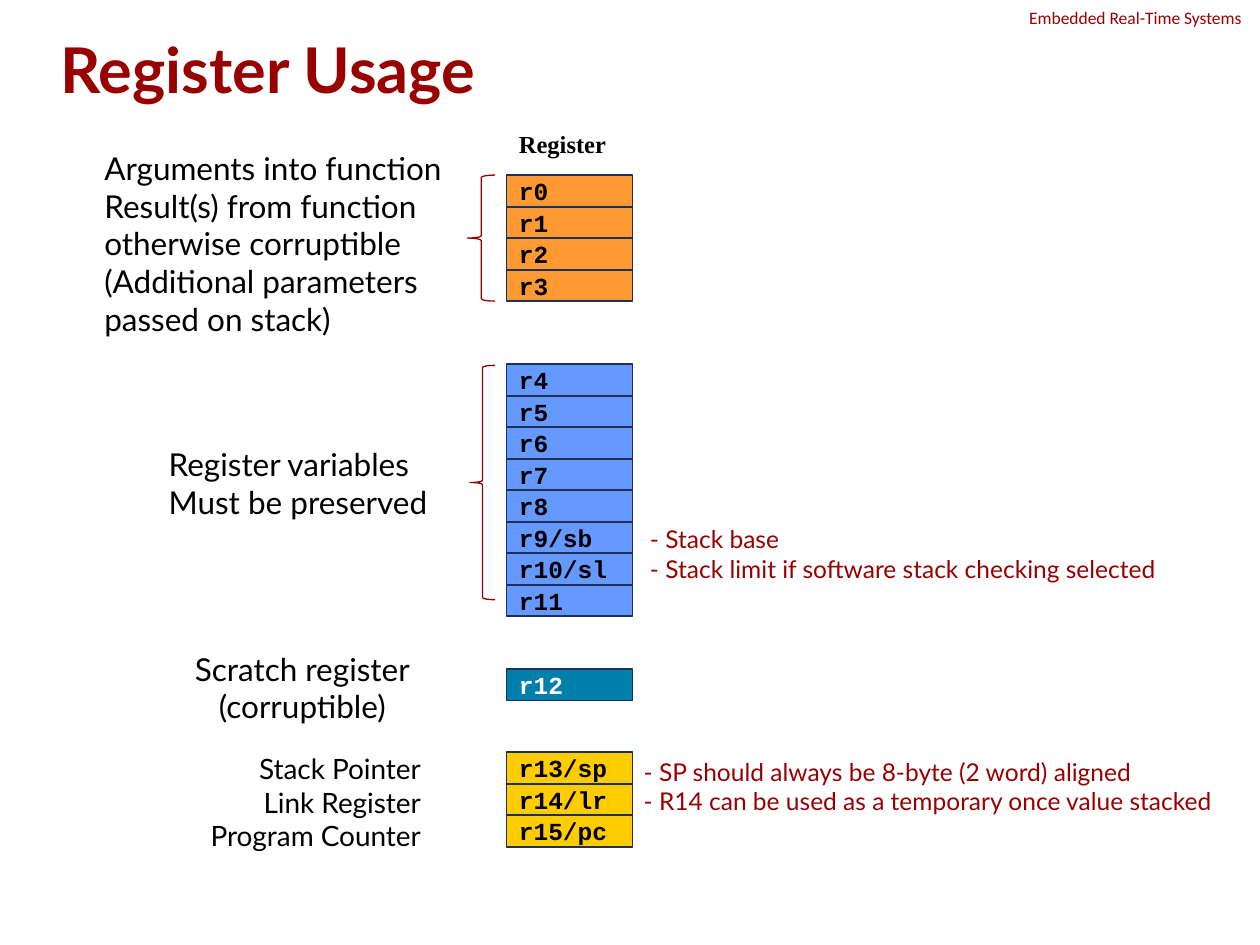
from pptx import Presentation
from pptx.dml.color import RGBColor
from pptx.enum.shapes import MSO_SHAPE
from pptx.enum.text import MSO_ANCHOR, MSO_AUTO_SIZE, PP_ALIGN
from pptx.util import Emu, Pt

EMU_PER_PX = 9144  # 100 px to the inch
LEFT, CENTER, RIGHT = PP_ALIGN.LEFT, PP_ALIGN.CENTER, PP_ALIGN.RIGHT
MIDDLE, TOP = MSO_ANCHOR.MIDDLE, MSO_ANCHOR.TOP
NO_AUTOFIT = MSO_AUTO_SIZE.NONE
RECTANGLE, LEFT_BRACE = MSO_SHAPE.RECTANGLE, MSO_SHAPE.LEFT_BRACE
TITLE_ONLY = 5

BLACK = RGBColor(0x00, 0x00, 0x00)
WHITE = RGBColor(0xFF, 0xFF, 0xFF)
DARK_RED = RGBColor(0x99, 0x00, 0x00)
BRACE_RED = RGBColor(0x96, 0x00, 0x00)
NAVY = RGBColor(0x1D, 0x31, 0x5B)
ORANGE = RGBColor(0xFF, 0x99, 0x33)
BLUE = RGBColor(0x66, 0x99, 0xFF)
TEAL = RGBColor(0x00, 0x7F, 0xAC)
YELLOW = RGBColor(0xFF, 0xCC, 0x00)

REGISTER_LEFT, REGISTER_WIDTH, REGISTER_HEIGHT = 402, 100, 25


def px(*lengths):
    return [Emu(length * EMU_PER_PX) for length in lengths]


class RegisterPage:
    body_font = "Lato"
    code_font = "Courier New"

    def __init__(self, deck):
        self.page = deck.slides.add_slide(deck.slide_layouts[TITLE_ONLY])

    def add_lines(self, box, lines, size, color=BLACK, font=body_font,
                  bold=False, align=LEFT, anchor=MIDDLE):
        frame = box.text_frame
        frame.word_wrap = True
        frame.auto_size = NO_AUTOFIT
        frame.vertical_anchor = anchor
        for index, line in enumerate(lines):
            para = frame.add_paragraph() if index else frame.paragraphs[0]
            para.alignment = align
            span = para.add_run()
            span.text = line
            span.font.name = font
            span.font.size = Pt(size)
            span.font.bold = bold
            span.font.color.rgb = color

    def title(self, text, place):
        box = self.page.shapes.title
        box.left, box.top, box.width, box.height = px(*place)
        self.add_lines(box, [text], 36, DARK_RED, bold=True)

    def text(self, lines, place, size, **style):
        box = self.page.shapes.add_textbox(*px(*place))
        self.add_lines(box, lines, size, **style)

    def shape(self, kind, place, line_color, line_width):
        box = self.page.shapes.add_shape(kind, *px(*place))
        box.shadow.inherit = False
        box.line.color.rgb = line_color
        box.line.width = Pt(line_width)
        return box

    def registers(self, names, top, fill, color=BLACK):
        for row, name in enumerate(names):
            place = (REGISTER_LEFT, top + row * REGISTER_HEIGHT,
                     REGISTER_WIDTH, REGISTER_HEIGHT)
            box = self.shape(RECTANGLE, place, NAVY, 1)
            box.fill.solid()
            box.fill.fore_color.rgb = fill
            self.add_lines(box, [name], 14, color, self.code_font, bold=True)

    def brace(self, place):
        self.shape(LEFT_BRACE, place, BRACE_RED, 0.75).fill.background()


def main():
    deck = Presentation()
    deck.slide_width, deck.slide_height = px(1000, 750)
    usage = RegisterPage(deck)

    # Heading
    usage.text(["Embedded Real-Time Systems"], (807, 1, 227, 27), 10,
               color=DARK_RED, font="Calibri", anchor=TOP)
    usage.title("Register Usage", (38, 28, 900, 53))

    # Register column
    usage.text(["Register"], (402, 97, 100, 34), 14,
               font="Times New Roman", bold=True)
    usage.registers([f"r{n}" for n in range(4)], 139, ORANGE)
    usage.registers(["r4", "r5", "r6", "r7", "r8", "r9/sb", "r10/sl", "r11"],
                    289, BLUE)
    usage.registers(["r12"], 531, TEAL, WHITE)
    usage.registers(["r13/sp", "r14/lr", "r15/pc"], 597, YELLOW)

    # Roles on the left
    usage.text(["Arguments into function", "Result(s) from function",
                "otherwise corruptible", "(Additional parameters",
                "passed on stack)"], (73, 112, 293, 162), 18)
    usage.text(["Register variables", "Must be preserved"],
               (124, 348, 233, 71), 18)
    usage.text(["Scratch register", "(corruptible)"],
               (136, 510, 208, 71), 18, align=CENTER)
    usage.text(["Stack Pointer", "Link Register", "Program Counter"],
               (136, 591, 208, 91), 16, align=RIGHT)

    # Notes on the right
    notes = [
        ("- Stack base", 506, 415),
        ("- Stack limit if software stack checking selected", 506, 439),
        ("- SP should always be 8-byte (2 word) aligned", 501, 600),
        ("- R14 can be used as a temporary once value stacked", 501, 623),
    ]
    for note, left, top in notes:
        usage.text([note], (left, top, 475, 25), 14, color=DARK_RED)

    # Braces
    usage.brace((371, 139, 22, 100))
    usage.brace((373, 290, 20, 186))

    deck.save("out.pptx")


if __name__ == "__main__":
    main()
